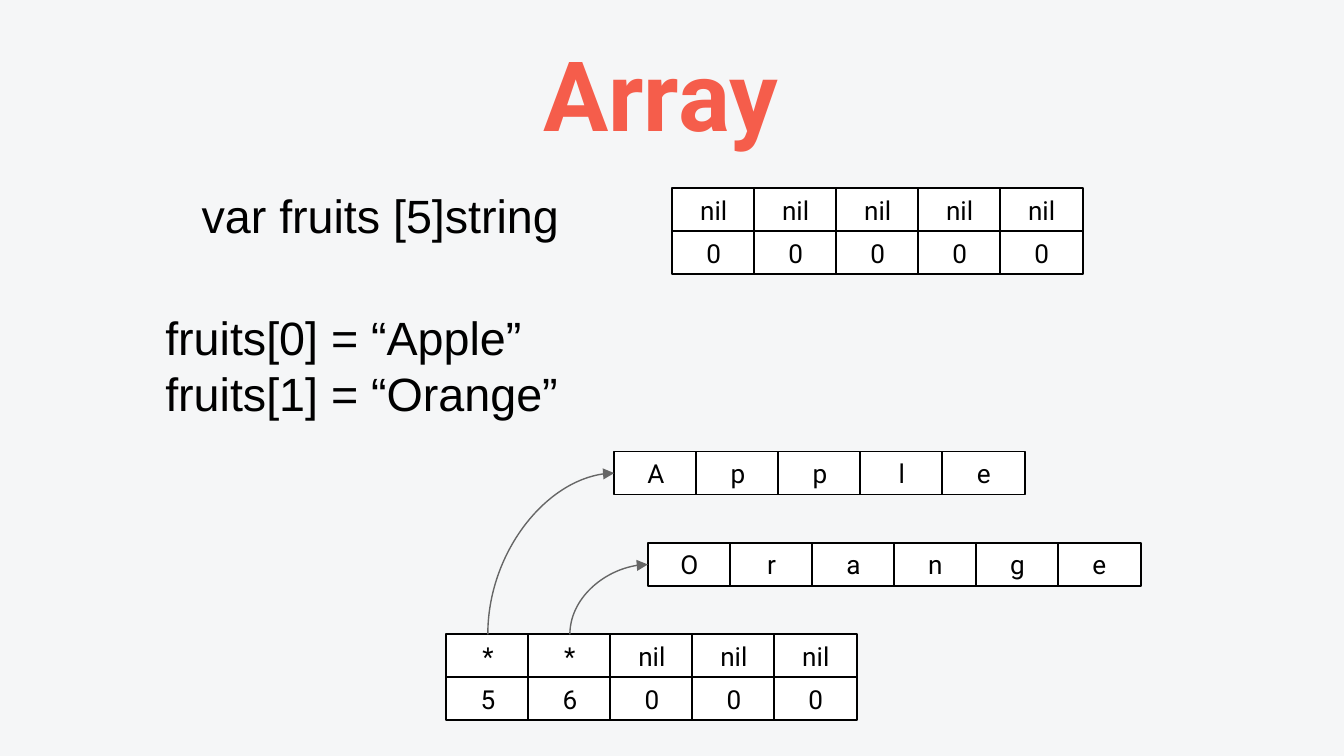
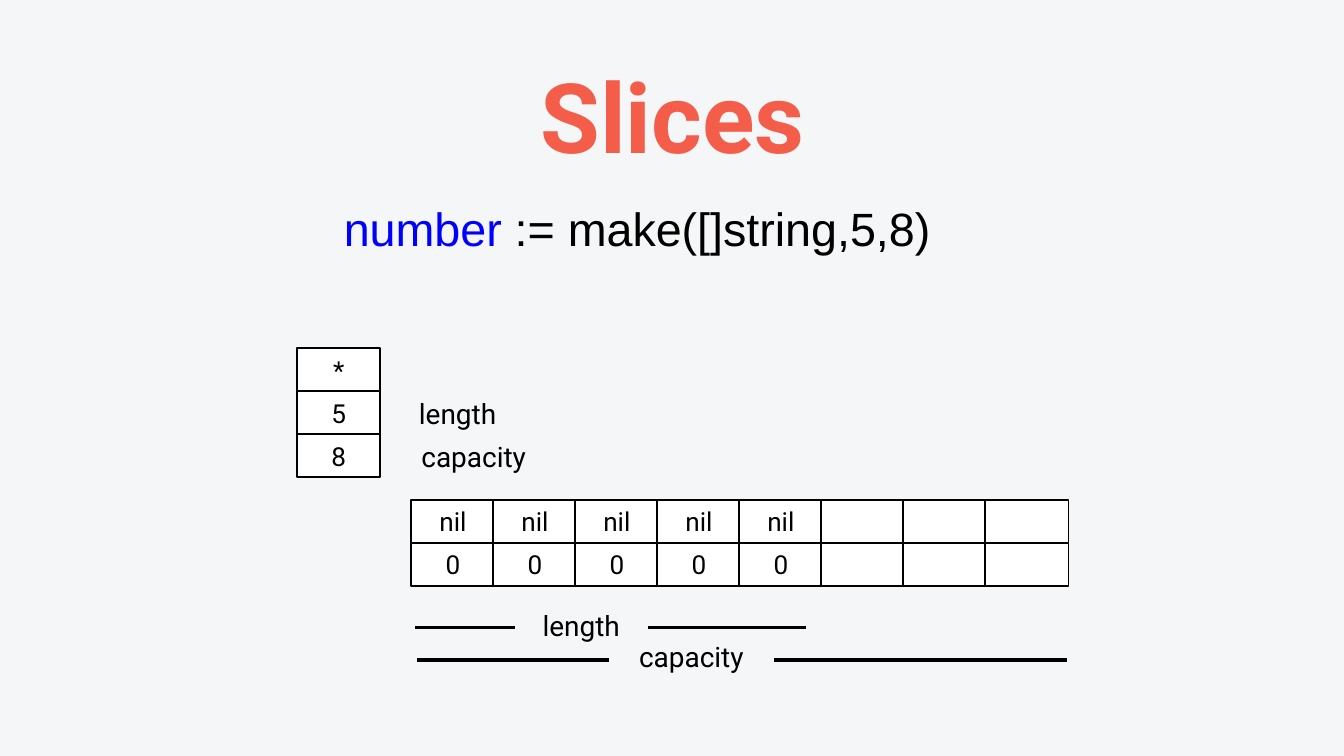
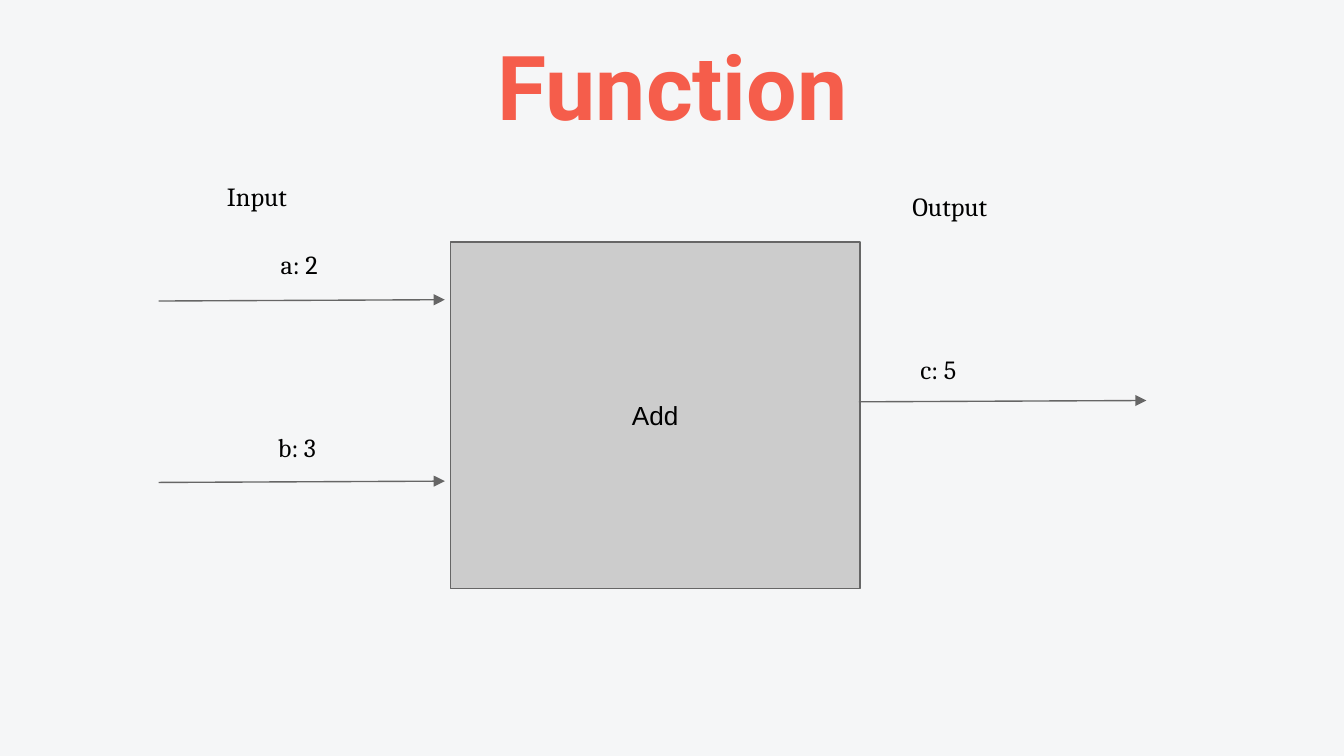
from pptx import Presentation
from pptx.dml.color import RGBColor
from pptx.enum.shapes import MSO_CONNECTOR, MSO_SHAPE
from pptx.enum.text import MSO_ANCHOR, PP_ALIGN
from pptx.oxml.ns import qn
from pptx.util import Pt
from lxml import etree

PX = 9144  # 100 px to the inch
BACKGROUND = RGBColor(0xF5, 0xF6, 0xF7)
CORAL = RGBColor(0xF5, 0x5D, 0x4B)
BLACK = RGBColor(0x00, 0x00, 0x00)
WHITE = RGBColor(0xFF, 0xFF, 0xFF)
BLUE = RGBColor(0x00, 0x00, 0xFF)
SILVER = RGBColor(0xCC, 0xCC, 0xCC)
GRAY = RGBColor(0x66, 0x66, 0x66)

LEFT, CENTER = PP_ALIGN.LEFT, PP_ALIGN.CENTER
TOP, MIDDLE, BOTTOM = MSO_ANCHOR.TOP, MSO_ANCHOR.MIDDLE, MSO_ANCHOR.BOTTOM
RECT = MSO_SHAPE.RECTANGLE
STRAIGHT, CURVE = MSO_CONNECTOR.STRAIGHT, MSO_CONNECTOR.CURVE

CODE = {"name": "Arial", "size": Pt(25)}
CELL = {"name": "Roboto", "size": Pt(14)}
LABEL = {"name": "Roboto", "size": Pt(15)}
BLOCK = {"name": "Arial", "size": Pt(14)}
NOTE = {"name": "Cambria", "size": Pt(14)}

CELL_W, CELL_H, PITCH = 62, 32, 61


def box(shapes, at, lines, font, align=CENTER, anchor=MIDDLE, inset=4,
        fill=None, edge=None, weight=1):
    """Add a text box, or a rectangle if filled; lines hold (text, colour) runs."""
    x, y, w, h = (v * PX for v in at)
    if fill is None:
        sp = shapes.add_textbox(x, y, w, h)
    else:
        sp = shapes.add_shape(RECT, x, y, w, h)
        sp.shadow.inherit = False
        sp.fill.solid()
        sp.fill.fore_color.rgb = fill
        sp.line.color.rgb = edge
        sp.line.width = Pt(weight)
    tf = sp.text_frame
    tf.word_wrap = True
    tf.vertical_anchor = anchor
    for side in ("left", "top", "right", "bottom"):
        setattr(tf, f"margin_{side}", inset * PX)
    for i, runs in enumerate(lines):
        p = tf.paragraphs[0] if i == 0 else tf.add_paragraph()
        p.alignment = align
        for text, color in runs:
            r = p.add_run()
            r.text = text
            r.font.color.rgb = color
            for key, value in font.items():
                setattr(r.font, key, value)


def connect(s, x1, y1, x2, y2, kind=STRAIGHT, color=GRAY, weight=0.75, arrow=True):
    """Join two points; a curve leaves upwards and arrives from the left."""
    start, end = (x1, y1), (x2, y2)
    if kind == CURVE:
        # The frame of a quarter turn: width and height change places
        cx, cy, w, h = (x1 + x2) / 2, (y1 + y2) / 2, y1 - y2, x2 - x1
        start, end = (cx - w / 2, cy - h / 2), (cx + w / 2, cy + h / 2)
    c = s.shapes.add_connector(kind, *(int(v * PX) for v in start + end))
    c.line.color.rgb = color
    c.line.width = Pt(weight)
    pr = c._element.spPr
    if kind == CURVE:
        pr.find(qn("a:xfrm")).set("rot", str(270 * 60000))
        pr.find(qn("a:prstGeom")).set("prst", "curvedConnector2")
    if arrow:
        etree.SubElement(pr.find(qn("a:ln")), qn("a:tailEnd"), type="triangle")
    etree.SubElement(pr, qn("a:effectLst"))


prs = Presentation()
prs.slide_width, prs.slide_height = 1000 * PX, 5143500

# Slides with background and title
slides = []
for title, at, size in [
    ("Array", (89, 27, 805, 89), 52),
    ("Slices", (98, 44, 805, 89), 52),
    ("Function", (98, 34, 805, 73), 48),
]:
    s = prs.slides.add_slide(prs.slide_layouts[6])
    s.background.fill.solid()
    s.background.fill.fore_color.rgb = BACKGROUND
    font = {"name": "Roboto", "size": Pt(size), "bold": True}
    box(s.shapes, at, [[(title, CORAL)]], font, anchor=BOTTOM)
    slides.append(s)
array, slices, function = slides

# Memory cells, one group per block
for s, left, top, rows in [
    (array, 500, 140, [["nil"] * 5, ["0"] * 5]),
    (array, 332, 472, [["*", "*", "nil", "nil", "nil"], ["5", "6", "0", "0", "0"]]),
    (array, 457, 336, ["Apple"]),
    (array, 482, 404, ["Orange"]),
    (slices, 306, 372, [["nil"] * 5 + [""] * 3, ["0"] * 5 + [""] * 3]),
    (slices, 221, 259, ["*", "5", "8"]),
]:
    group = s.shapes.add_group_shape()
    for col in range(len(rows[0])):
        for row, values in enumerate(rows):
            at = (left + col * PITCH, top + row * CELL_H, CELL_W, CELL_H)
            lines = [[(values[col], BLACK)]] if values[col] else []
            box(group.shapes, at, lines, CELL, fill=WHITE, edge=BLACK)

# Array: code and pointers
box(array.shapes, (103, 140, 360, 39), [[("var fruits [5]string", BLACK)]], CODE)
box(array.shapes, (119, 252, 360, 39),
    [[("fruits[0] = “Apple”", BLACK)], [("fruits[1] = “Orange”", BLACK)]],
    CODE, align=LEFT)
connect(array, 363, 472, 457, 352, CURVE)
connect(array, 424, 472, 482, 420, CURVE)

# Slices: code, labels and measuring lines
box(slices.shapes, (180, 150, 588, 39),
    [[("number", BLUE), (" := make([]string,5,8)", BLACK)]], CODE)
for text, x, y, w in [
    ("length", 304, 294, 73),
    ("capacity", 304, 326, 97),
    ("length", 396, 452, 73),
    ("capacity", 466, 475, 97),
]:
    box(slices.shapes, (x, y, w, 27), [[(text, BLACK)]], LABEL)
for x1, x2, y in [(309, 383, 467), (482, 600, 467), (310, 453, 491), (576, 794, 491)]:
    connect(slices, x1, y, x2, y, color=BLACK, weight=2, arrow=False)

# Function: block, arrows and notes
box(function.shapes, (335, 180, 305, 258), [[("Add", BLACK)]], BLOCK, inset=10,
    fill=SILVER, edge=GRAY, weight=0.75)
for x1, x2, y in [(118, 331, 224), (118, 331, 359), (639, 853, 299)]:
    connect(function, x1, y, x2, y - 1)
for text, x, y, w in [
    ("Input", 159, 124, 481),
    ("Output", 669, 132, 300),
    ("a: 2", 199, 175, 106),
    ("b: 3", 197, 311, 83),
    ("c: 5", 675, 253, 106),
]:
    box(function.shapes, (x, y, w, 56), [[(text, BLACK)]], NOTE,
        align=LEFT, anchor=TOP, inset=10)

prs.save("out.pptx")
